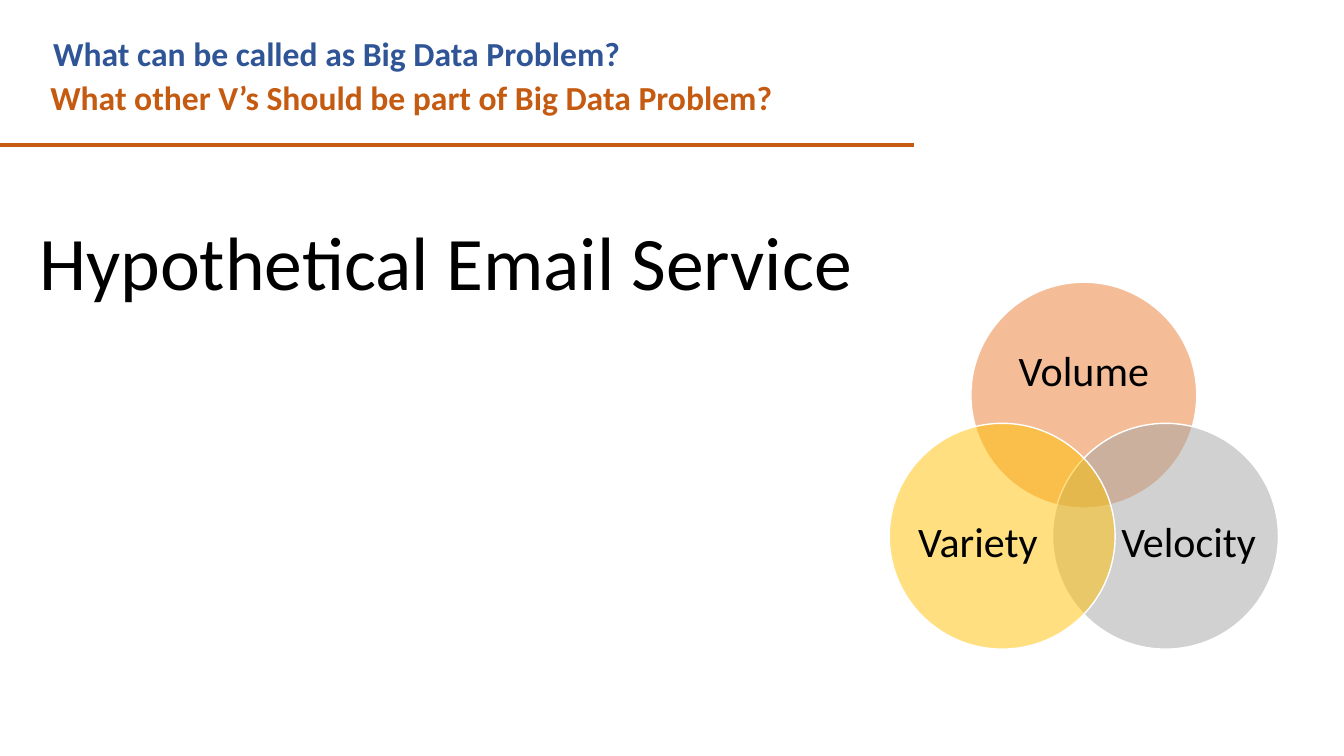
from lxml import etree
from pptx import Presentation
from pptx.dml.color import RGBColor
from pptx.enum.shapes import MSO_CONNECTOR, MSO_SHAPE
from pptx.enum.text import MSO_ANCHOR, PP_ALIGN
from pptx.oxml.ns import qn
from pptx.util import Inches, Pt

STRAIGHT = MSO_CONNECTOR.STRAIGHT
OVAL = MSO_SHAPE.OVAL
MIDDLE = MSO_ANCHOR.MIDDLE
CENTER = PP_ALIGN.CENTER

BLACK = RGBColor(0x00, 0x00, 0x00)
WHITE = RGBColor(0xFF, 0xFF, 0xFF)
BLUE = RGBColor(0x2F, 0x55, 0x97)
RUST = RGBColor(0xC5, 0x5A, 0x11)
ORANGE = RGBColor(0xED, 0x7D, 0x31)
GRAY = RGBColor(0xA5, 0xA5, 0xA5)
GOLD = RGBColor(0xFF, 0xC0, 0x00)

presentation = Presentation()
presentation.slide_width = Inches(13.33)
presentation.slide_height = Inches(7.5)
slide = presentation.slides.add_slide(presentation.slide_layouts[6])


def add_text(text, left, top, width, height, size, color, bold=False):
    box = slide.shapes.add_textbox(
        Inches(left), Inches(top), Inches(width), Inches(height))
    box.text_frame.word_wrap = True
    paragraph = box.text_frame.paragraphs[0]
    paragraph.text = text
    paragraph.font.name = "Calibri"
    paragraph.font.size = Pt(size)
    paragraph.font.bold = bold
    paragraph.font.color.rgb = color
    return box


add_text("What other V’s Should be part of Big Data Problem?",
         0.4, 0.71, 8.75, 0.5, 24, RUST, True)
add_text("What can be called as Big Data Problem?",
         0.43, 0.28, 8.2, 0.5, 24, BLUE, True)

rule = slide.shapes.add_connector(
    STRAIGHT, Inches(0), Inches(1.44), Inches(9.07), Inches(1.44))
rule.line.color.rgb = RUST
rule.line.width = Pt(3)
etree.SubElement(rule._element.spPr, qn("a:effectLst"))

DIAMETER = 2.24
VENN_LEFT, VENN_TOP = 8.82, 2.8
COLUMN, ROW = 0.81, 1.4
circles = [
    ("Volume", 1, 0, ORANGE, (0.3, 0.39, 1.64, 1.01)),
    ("Velocity", 2, 1, GRAY, (0.68, 0.58, 1.34, 1.23)),
    ("Variety", 0, 1, GOLD, (0.21, 0.58, 1.34, 1.23)),
]
for name, column, row, color, (inset_x, inset_y, width, height) in circles:
    left = VENN_LEFT + column * COLUMN
    top = VENN_TOP + row * ROW
    circle = slide.shapes.add_shape(
        OVAL, Inches(left), Inches(top), Inches(DIAMETER), Inches(DIAMETER))
    circle.shadow.inherit = False
    circle.fill.solid()
    circle.fill.fore_color.rgb = color
    fill_color = circle._element.spPr.find(qn("a:solidFill"))[0]
    etree.SubElement(fill_color, qn("a:alpha"), val="50000")
    circle.line.color.rgb = WHITE
    circle.line.width = Pt(1)

    label = add_text(name, left + inset_x, top + inset_y, width, height, 30, BLACK)
    frame = label.text_frame
    frame.margin_left = frame.margin_right = 0
    frame.margin_top = frame.margin_bottom = 0
    frame.vertical_anchor = MIDDLE
    frame.paragraphs[0].alignment = CENTER
    frame.paragraphs[0].line_spacing = 0.9

add_text("Hypothetical Email Service", 0.29, 2.08, 8.53, 1.01, 54, BLACK)

presentation.save("out.pptx")
